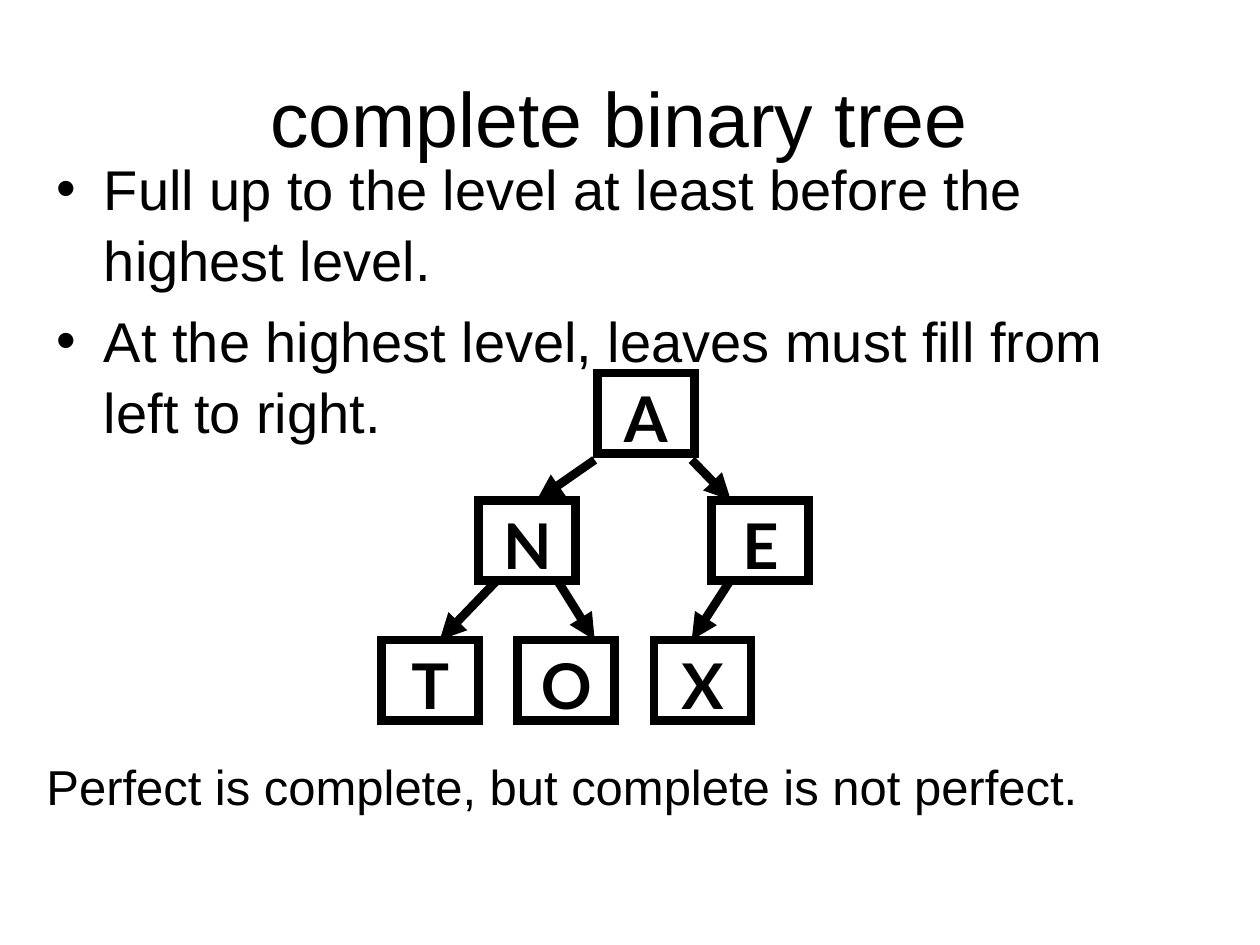
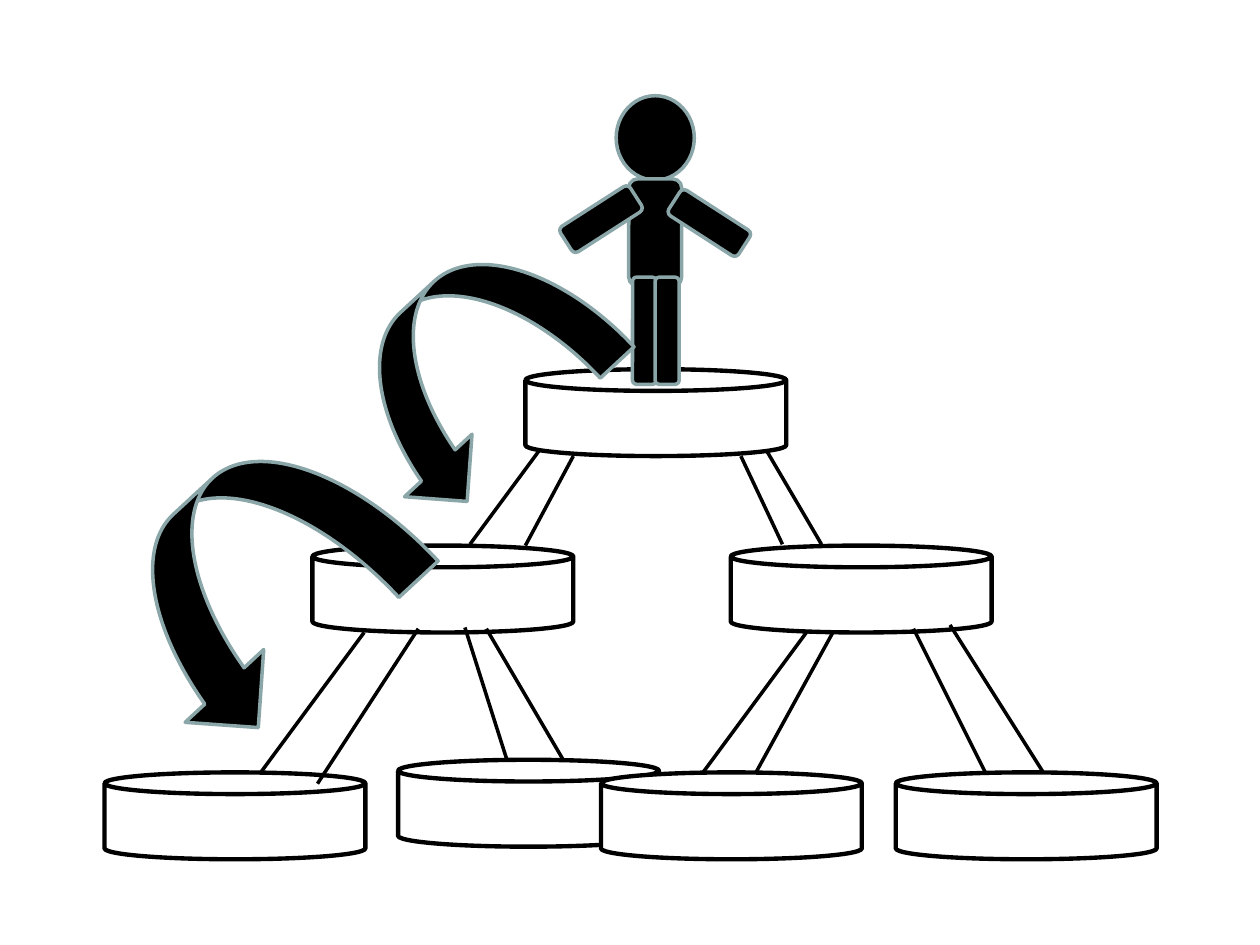
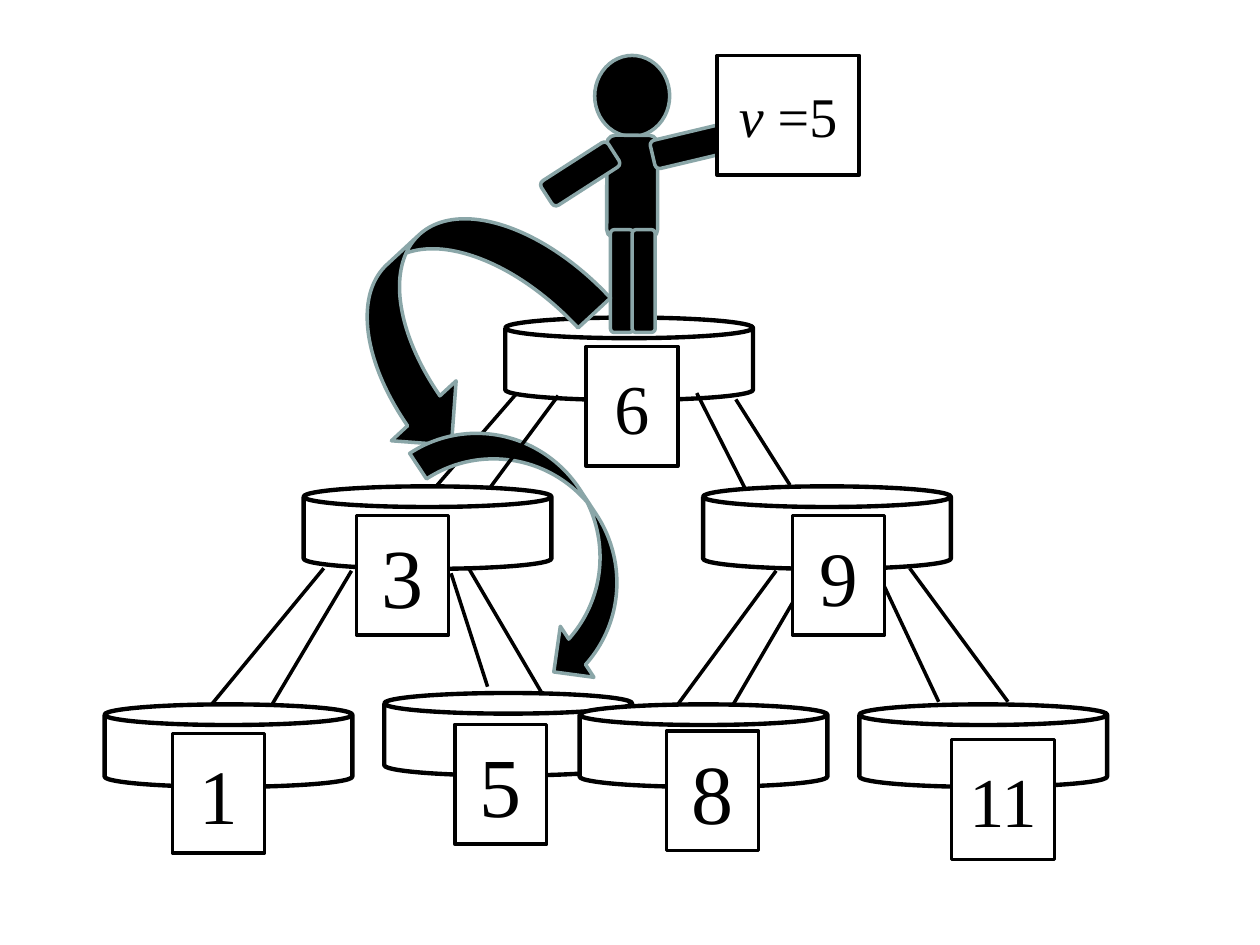
from lxml.etree import SubElement
from pptx import Presentation
from pptx.dml.color import RGBColor
from pptx.enum.shapes import MSO_CONNECTOR, MSO_SHAPE as Preset
from pptx.enum.text import MSO_ANCHOR as Anchor, MSO_AUTO_SIZE as AutoSize, PP_ALIGN as Align
from pptx.oxml.ns import qn
from pptx.util import Inches, Pt

BLACK = RGBColor(0x00, 0x00, 0x00)
WHITE = RGBColor(0xFF, 0xFF, 0xFF)
STEEL = RGBColor(0x8A, 0xA6, 0xA8)

TITLE_LAYOUT, BLANK_LAYOUT = 1, 6
NODE_SIZE = (0.77, 0.64)
CAN_SIZE = (2.07, 0.69)


class Deck:
    """Holds the shared style and the slide being drawn."""

    def __init__(self):
        self.presentation = Presentation()
        self.presentation.slide_width = Inches(10)
        self.presentation.slide_height = Inches(7.5)
        self.slide = None

    def add_slide(self, layout):
        layouts = self.presentation.slide_layouts
        self.slide = self.presentation.slides.add_slide(layouts[layout])

    def place(self, shape, left, top, width, height):
        box = dict(left=left, top=top, width=width, height=height)
        for name, value in box.items():
            setattr(shape, name, Inches(value))

    def fill_text(self, shape, paragraphs, size, font="Arial", align=None,
                  anchor=None, line_spacing=None, bold=False):
        """Each paragraph is a list of (text, italic) runs."""
        frame = shape.text_frame
        frame.word_wrap = True
        if anchor is not None:
            frame.vertical_anchor = anchor
        for index, runs in enumerate(paragraphs):
            paragraph = frame.add_paragraph() if index else frame.paragraphs[0]
            paragraph.alignment = align
            paragraph.line_spacing = line_spacing
            for text, italic in runs:
                run = paragraph.add_run()
                run.text = text
                run.font.color.rgb = BLACK
                style = dict(name=font, size=Pt(size), bold=bold, italic=italic)
                for name, value in style.items():
                    setattr(run.font, name, value)

    def title(self, text, box):
        shape = self.slide.shapes.title
        self.place(shape, *box)
        self.fill_text(shape, [[(text, False)]], 44, align=Align.CENTER, anchor=Anchor.MIDDLE)

    def bullets(self, lines, box):
        shape = self.slide.placeholders[1]
        self.place(shape, *box)
        self.fill_text(shape, [[(line, False)] for line in lines], 32, line_spacing=1.05)

    def note(self, text, box):
        shape = self.slide.shapes.add_textbox(*map(Inches, box))
        self.fill_text(shape, [[(text, False)]], 28, anchor=Anchor.MIDDLE)
        shape.text_frame.word_wrap = False
        shape.text_frame.auto_size = AutoSize.SHAPE_TO_FIT_TEXT

    def shape(self, preset, box, fill=WHITE, line=BLACK, weight=2, rotation=0):
        shape = self.slide.shapes.add_shape(preset, *map(Inches, box))
        shape.shadow.inherit = False
        shape.rotation = rotation
        shape.fill.solid()
        shape.fill.fore_color.rgb = fill
        shape.line.color.rgb = line
        shape.line.width = Pt(weight)
        return shape

    def dark(self, preset, box, rotation=0):
        return self.shape(preset, box, BLACK, STEEL, rotation=rotation)

    def line(self, start, end, weight=2, arrow=False):
        points = map(Inches, (*start, *end))
        line = self.slide.shapes.add_connector(MSO_CONNECTOR.STRAIGHT, *points)
        line.line.color.rgb = BLACK
        line.line.width = Pt(weight)
        properties = line._element.spPr
        if arrow:
            SubElement(properties.find(qn("a:ln")), qn("a:tailEnd"), type="triangle")
        SubElement(properties, qn("a:effectLst"))

    def lines(self, ends):
        for x1, y1, x2, y2 in ends:
            self.line((x1, y1), (x2, y2))

    def node(self, letter, left, top):
        shape = self.shape(Preset.RECTANGLE, (left, top, *NODE_SIZE), weight=5)
        SubElement(shape._element.spPr.find(qn("a:ln")), qn("a:miter"), lim="800000")
        self.fill_text(shape, [[(letter, False)]], 36, "Lato", Align.CENTER, Anchor.TOP, bold=True)

    def card(self, runs, size, left, top, width=0.73):
        shape = self.shape(Preset.RECTANGLE, (left, top, width, 0.95))
        self.fill_text(shape, [runs], size, "Times New Roman", Align.CENTER, Anchor.MIDDLE)

    def cans(self, corners, scale=1):
        size = [length * scale for length in CAN_SIZE]
        for corner in corners:
            self.shape(Preset.CAN, (*corner, *size), weight=2.5)

    def person(self, left, top, scale=1, right_arm=(0.62, 0.68, 302.8)):
        """Parts are offsets from the top left of the head."""
        arm_x, arm_y, arm_turn = right_arm
        parts = [
            (Preset.OVAL, 0, 0, 0.62, 0.67, 0),
            (Preset.ROUNDED_RECTANGLE, 0.1, 0.66, 0.42, 0.85, 0),
            (Preset.ROUNDED_RECTANGLE, 0.13, 1.44, 0.19, 0.85, 0),
            (Preset.ROUNDED_RECTANGLE, 0.31, 1.44, 0.19, 0.85, 0),
            (Preset.ROUNDED_RECTANGLE, arm_x, arm_y, 0.24, 0.66, arm_turn),
            (Preset.ROUNDED_RECTANGLE, -0.24, 0.65, 0.24, 0.66, 57.3),
        ]
        for preset, x, y, width, height, turn in parts:
            box = (left + x * scale, top + y * scale, width * scale, height * scale)
            self.dark(preset, box, turn)

    def jump(self, box, rotation=47.2, flipped=False):
        arrow = self.dark(Preset.CURVED_RIGHT_ARROW, box, rotation)
        if flipped:
            arrow._element.spPr.find(qn("a:xfrm")).set("flipH", "1")


def complete_tree(deck):
    deck.add_slide(TITLE_LAYOUT)
    deck.title("complete binary tree ", (0.5, 0.3, 9, 1.25))
    deck.bullets(["Full up to the level at least before the highest level.",
                  "At the highest level, leaves must fill from left to right."],
                 (0.35, 1.15, 9, 4.95))
    # Tree, level by level
    levels = {2.96: {"A": 4.74},
              3.97: {"N": 3.8, "E": 5.65},
              5.08: {"T": 3.03, "O": 4.11, "X": 5.19}}
    for top, nodes in levels.items():
        for letter, left in nodes.items():
            deck.node(letter, left, top)
    # Branches: start and end of x on each pair of levels
    branches = {(3.65, 3.97): [(4.72, 4.26), (5.49, 5.8)],
                (4.6, 5.08): [(3.95, 3.49), (4.42, 4.72), (5.8, 5.49)]}
    for (top, bottom), spans in branches.items():
        for start, end in spans:
            deck.line((start, top), (end, bottom), 5, arrow=True)
    deck.note("Perfect is complete, but complete is not perfect.", (0.27, 5.95, 8.48, 0.57))


def jumping_down(deck):
    deck.add_slide(BLANK_LAYOUT)
    # Upper platforms and the beams behind them
    deck.lines([(4.55, 3.21, 3.73, 4.32), (5.91, 3.28, 6.52, 4.32)])
    deck.cans([(4.17, 2.93), (2.48, 4.33), (5.8, 4.33)])
    deck.lines([(2.89, 5.02, 2.07, 6.13), (6.4, 5.02, 5.58, 6.13),
                (3.86, 4.99, 4.47, 6.03), (7.25, 4.99, 7.82, 6.13)])
    deck.person(4.89, 0.76)
    # Lower platforms, jumps and front beams
    deck.cans([(0.83, 6.13), (3.16, 6.03), (4.77, 6.13), (7.11, 6.13)])
    deck.jump((3.01, 1.87, 1.46, 2.17))
    deck.jump((1.18, 3.45, 1.7, 2.37))
    deck.lines([(4.55, 3.62, 4.17, 4.33), (3.32, 4.99, 2.52, 6.22),
                (6.61, 5.02, 6, 6.13), (5.88, 3.62, 6.21, 4.32),
                (3.69, 4.98, 4.02, 6.02), (7.54, 4.96, 8.28, 6.13)])


def searching_value(deck):
    deck.add_slide(BLANK_LAYOUT)
    # Upper platforms and the beams around them
    deck.lines([(4.38, 2.8, 3.47, 3.85)])
    deck.cans([(4.01, 2.52)], 0.95)
    deck.lines([(5.84, 3.17, 6.27, 3.85)])
    deck.cans([(2.41, 3.86), (5.58, 3.86)], 0.95)
    deck.lines([(2.79, 4.53, 2.16, 5.59), (6.16, 4.53, 5.38, 5.59),
                (3.72, 4.51, 4.3, 5.5), (6.97, 4.55, 7.45, 5.57)])
    deck.person(4.72, 0.44, 0.96, right_arm=(0.68, 0.42, 256.6))
    # Lower platforms, jumps and front beams
    deck.cans([(0.83, 5.59), (3.05, 5.5), (4.6, 5.59), (6.82, 5.59)], 0.95)
    deck.jump((2.91, 1.52, 1.4, 2.07))
    deck.jump((3.81, 3.14, 0.97, 2.32), 326.6, flipped=True)
    deck.lines([(5.53, 3.12, 5.91, 3.87), (3.58, 4.55, 3.87, 5.45),
                (7.22, 4.51, 8, 5.57), (2.57, 4.51, 1.68, 5.59),
                (4.43, 3.14, 3.89, 3.87), (6.45, 4.51, 5.82, 5.59)])
    # Value cards
    deck.card([("v", True), (" =5", False)], 32, 5.69, 0.44, 1.13)
    for value, size, left, top in [("6", 40, 4.65, 2.75), ("3", 48, 2.83, 4.09),
                                   ("1", 44, 1.37, 5.82), ("5", 48, 3.61, 5.75),
                                   ("8", 48, 5.29, 5.8), ("9", 44, 6.29, 4.09)]:
        deck.card([(value, False)], size, left, top)
    deck.card([("11", False)], 40, 7.55, 5.87, 0.82)


def main():
    deck = Deck()
    for build in (complete_tree, jumping_down, searching_value):
        build(deck)
    deck.presentation.save("out.pptx")


if __name__ == "__main__":
    main()
